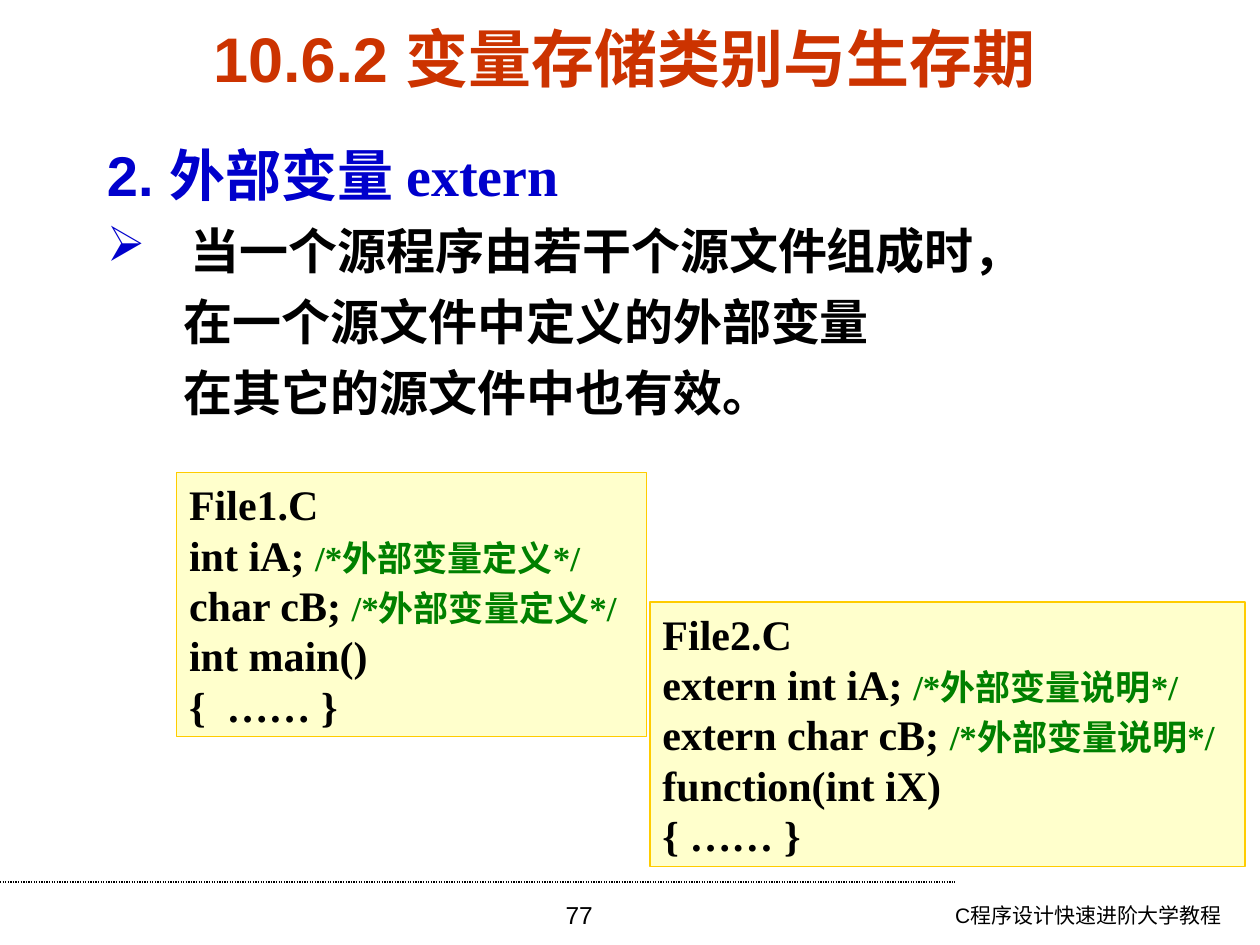
from lxml.etree import SubElement
from pptx import Presentation
from pptx.dml.color import RGBColor
from pptx.enum.dml import MSO_LINE
from pptx.enum.lang import MSO_LANGUAGE_ID
from pptx.enum.shapes import MSO_CONNECTOR, MSO_SHAPE
from pptx.enum.text import MSO_ANCHOR, MSO_AUTO_SIZE, PP_ALIGN
from pptx.oxml.ns import qn
from pptx.util import Pt

BLACK = RGBColor(0x00, 0x00, 0x00)
RED = RGBColor(0xCC, 0x33, 0x00)
BLUE = RGBColor(0x00, 0x00, 0xCC)
GREEN = RGBColor(0x00, 0x80, 0x00)
CREAM = RGBColor(0xFF, 0xFF, 0xCC)
GOLD = RGBColor(0xFF, 0xCC, 0x00)
SANS = "Arial"
SERIF = "Times New Roman"
HANGING = 48
CONTINUATION = 44


def set_font(font, size, color, name=SANS, bold=True):
    font.size = Pt(size)
    font.color.rgb = color
    font.name = name
    font.bold = bold


def add_span(paragraph, text):
    span = paragraph.add_run()
    span.text = text
    span.font.language_id = MSO_LANGUAGE_ID.SIMPLIFIED_CHINESE
    return span


def add_box(page, left, top, width, height):
    box = page.shapes.add_textbox(Pt(left), Pt(top), Pt(width), Pt(height))
    box.text_frame.word_wrap = True
    return box.text_frame


def add_label(page, bounds, text, size, color, align, bold=False):
    frame = add_box(page, *bounds)
    frame.vertical_anchor = MSO_ANCHOR.MIDDLE if bold else MSO_ANCHOR.TOP
    paragraph = frame.paragraphs[0]
    paragraph.alignment = align
    add_span(paragraph, text)
    set_font(paragraph.font, size, color, bold=bold)


def set_indent(paragraph, margin, first_line=0):
    properties = paragraph._p.get_or_add_pPr()
    properties.set("marL", str(Pt(margin)))
    properties.set("indent", str(Pt(first_line)))
    return properties


def add_bullet(paragraph, char, color):
    properties = set_indent(paragraph, HANGING, -HANGING)
    bullet_color = SubElement(properties, qn("a:buClr"))
    SubElement(bullet_color, qn("a:srgbClr")).set("val", str(color))
    SubElement(properties, qn("a:buChar")).set("char", char)


def add_body(page, lines):
    frame = add_box(page, 54, 77, 666, 414)
    heading = frame.paragraphs[0]
    add_span(heading, "2. 外部变量 ")
    keyword = add_span(heading, "extern")
    set_font(heading.font, 32, BLUE)
    keyword.font.name = SERIF
    for index, line in enumerate(lines):
        paragraph = frame.add_paragraph()
        paragraph.space_before = Pt(7)
        if index == 0:
            add_bullet(paragraph, "➢", BLUE)
        else:
            set_indent(paragraph, CONTINUATION)
        add_span(paragraph, line)
        set_font(paragraph.font, 28, BLACK)


def add_code(page, left, top, width, lines):
    box = page.shapes.add_shape(
        MSO_SHAPE.RECTANGLE, Pt(left), Pt(top), Pt(width), Pt(151))
    box.shadow.inherit = False
    box.fill.solid()
    box.fill.fore_color.rgb = CREAM
    box.line.color.rgb = GOLD
    box.line.width = Pt(0.75)
    frame = box.text_frame
    frame.word_wrap = False
    frame.auto_size = MSO_AUTO_SIZE.SHAPE_TO_FIT_TEXT
    frame.vertical_anchor = MSO_ANCHOR.MIDDLE
    for index, (code, comment) in enumerate(lines):
        paragraph = frame.add_paragraph() if index else frame.paragraphs[0]
        paragraph.alignment = PP_ALIGN.LEFT
        add_span(paragraph, code)
        set_font(paragraph.font, 24, BLACK, SERIF)
        if comment:
            set_font(add_span(paragraph, comment).font, 20, GREEN, SERIF)


def add_rule(page, top, width):
    rule = page.shapes.add_connector(
        MSO_CONNECTOR.STRAIGHT, Pt(0), Pt(top), Pt(width), Pt(top))
    rule.line.color.rgb = BLACK
    rule.line.width = Pt(0.75)
    rule.line.dash_style = MSO_LINE.ROUND_DOT
    SubElement(rule._element.spPr, qn("a:effectLst"))


def main():
    """Build the slide on external variables and save it."""
    deck = Presentation()
    deck.slide_width, deck.slide_height = Pt(720), Pt(540)
    page = deck.slides.add_slide(deck.slide_layouts[6])
    add_rule(page, 504, 546)
    add_label(page, (473, 512, 232.5, 28), "C程序设计快速进阶大学教程",
              12, BLACK, PP_ALIGN.RIGHT)
    add_label(page, (247, 510.5, 168, 29.5), "77", 14, BLACK, PP_ALIGN.CENTER)
    add_label(page, (31, 15, 651.5, 36), "10.6.2 变量存储类别与生存期",
              36, RED, PP_ALIGN.CENTER, bold=True)
    add_body(page, ["当一个源程序由若干个源文件组成时，",
                    "在一个源文件中定义的外部变量",
                    "在其它的源文件中也有效。"])
    definition, declaration = "/*外部变量定义*/", "/*外部变量说明*/"
    add_code(page, 101, 270, 268.5, [
        ("File1.C", ""), ("int iA; ", definition), ("char cB; ", definition),
        ("int main()", ""), ("{  …… }", "")])
    add_code(page, 371.5, 344, 340, [
        ("File2.C", ""), ("extern int iA; ", declaration),
        ("extern char cB; ", declaration), ("function(int iX)", ""),
        ("{ …… }", "")])
    deck.save("out.pptx")


if __name__ == "__main__":
    main()
